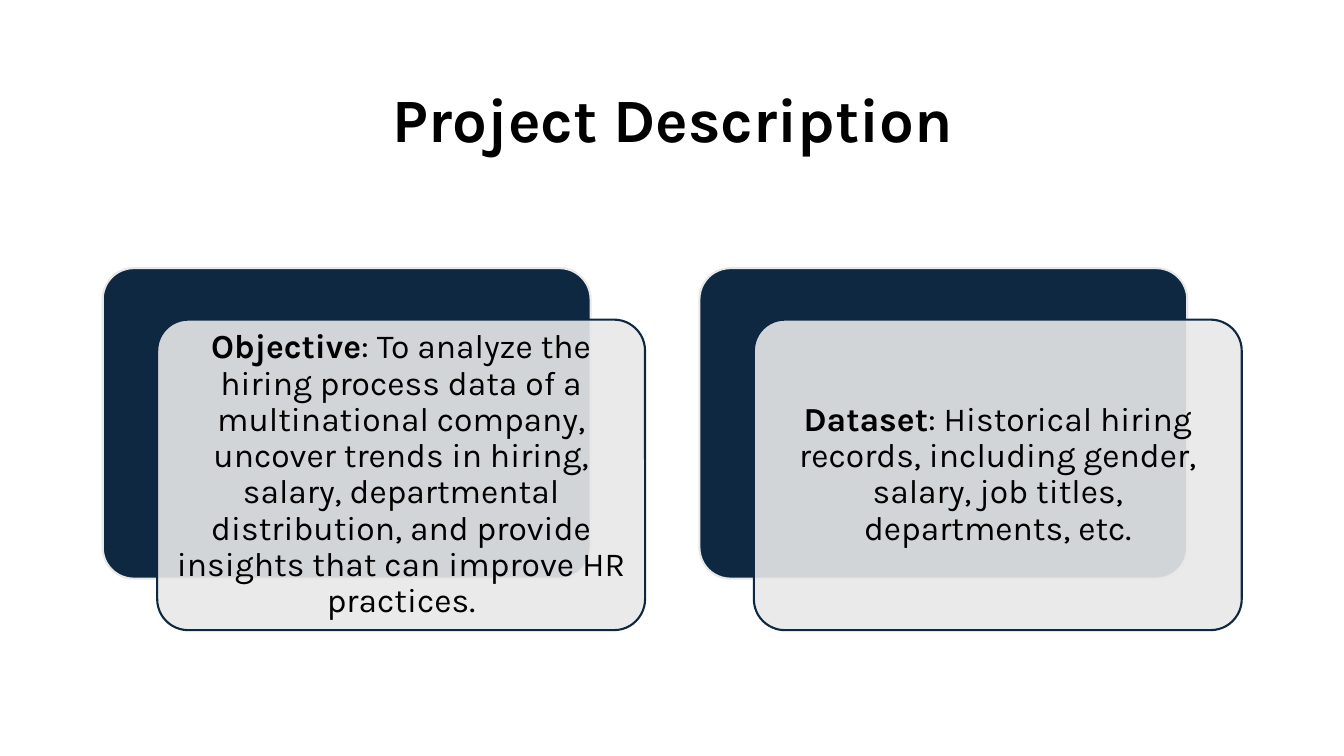
import pptx
import pptx.util
import pptx.dml.color
import pptx.enum.shapes
import pptx.enum.text
import pptx.oxml.ns
import lxml.etree

Pt = pptx.util.Pt
MID = pptx.enum.text.MSO_ANCHOR.MIDDLE
MAIN = pptx.enum.text.PP_ALIGN.CENTER

# Content
TITLE = "Project Description"
CARDS = [
    ("Objective", ": To analyze the hiring process data of a multinational "
     "company, uncover trends in hiring, salary, departmental distribution, "
     "and provide insights that can improve HR practices."),
    ("Dataset", ": Historical hiring records, including gender, salary, "
     "job titles, departments, etc."),
]

# Look and layout, in points
FONT, NAVY, GREY, BLACK = "Karla", "0E2841", "E8E8E8", "000000"
LEFT, TOP, WIDE, HIGH = 73.4, 191.5, 348.5, 221.8
STEP = 426.2
SHIFT = (38.9, 36.8)
INSET = 7.2


def paint(color, code):
    color.rgb = pptx.dml.color.RGBColor.from_string(code)


def write(para, text, size, bold):
    run = para.add_run()
    run.text = text
    run.font.name = FONT
    run.font.size = Pt(size)
    run.font.bold = bold
    paint(run.font.color, BLACK)


def center(frame):
    frame.word_wrap = True
    frame.vertical_anchor = MID
    para = frame.paragraphs[0]
    para.alignment = MAIN
    para.line_spacing = 0.9
    return para


def panel(slide, x, y, fill, edge):
    kind = pptx.enum.shapes.MSO_SHAPE.ROUNDED_RECTANGLE
    box = slide.shapes.add_shape(kind, Pt(x), Pt(y), Pt(WIDE), Pt(HIGH))
    box.adjustments[0] = 0.1
    box.shadow.inherit = False
    box.fill.solid()
    paint(box.fill.fore_color, fill)
    paint(box.line.color, edge)
    box.line.width = Pt(1.5)
    return box


def fade(box, share):
    tint = box.fill._xPr.find(".//" + pptx.oxml.ns.qn("a:srgbClr"))
    alpha = lxml.etree.SubElement(tint, pptx.oxml.ns.qn("a:alpha"))
    alpha.set("val", str(share * 1000))


def main():
    deck = pptx.Presentation()
    deck.slide_width, deck.slide_height = Pt(960), Pt(540)
    slide = deck.slides.add_slide(deck.slide_layouts[5])

    # Title
    title = slide.shapes.title
    title.left, title.top = Pt(120.2), Pt(43.2)
    title.width, title.height = Pt(721.4), Pt(89.3)
    write(center(title.text_frame), TITLE, 44, True)

    # Cards: a navy panel with a see-through text panel over it
    for i, (head, body) in enumerate(CARDS):
        x = LEFT + i * STEP
        panel(slide, x, TOP, NAVY, GREY)
        card = panel(slide, x + SHIFT[0], TOP + SHIFT[1], GREY, NAVY)
        fade(card, 90)
        frame = card.text_frame
        frame.margin_left = frame.margin_right = Pt(INSET)
        frame.margin_top = frame.margin_bottom = Pt(INSET)
        para = center(frame)
        write(para, head, 24, True)
        write(para, body, 24, False)

    deck.save("out.pptx")


if __name__ == "__main__":
    main()
